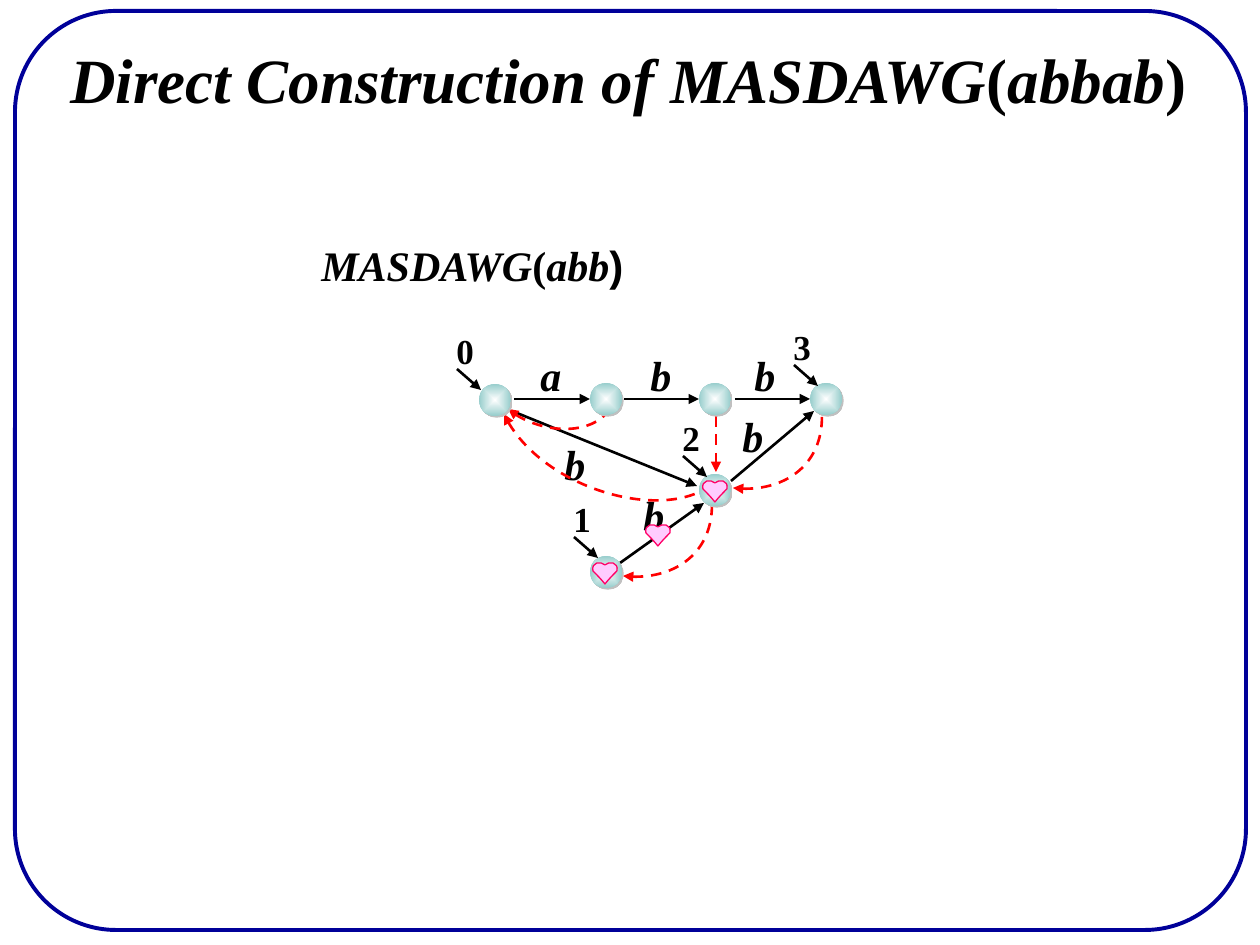
from lxml import etree
from pptx import Presentation
from pptx import util as u
from pptx.dml.color import RGBColor
from pptx.enum import dml, shapes, text
from pptx.oxml.ns import qn

BLACK = RGBColor(0x00, 0x00, 0x00)
WHITE = RGBColor(0xFF, 0xFF, 0xFF)
NAVY = RGBColor(0x00, 0x00, 0x99)
RED = RGBColor(0xFF, 0x00, 0x00)
TEAL = RGBColor(0x97, 0xCD, 0xCC)
PINK = RGBColor(0xFF, 0xCC, 0xFF)
ROSE = RGBColor(0xFF, 0x00, 0x66)
SERIF = "Times New Roman"

NODE_SIZE = 32
NODES = [(39, 64), (150, 63), (259, 63), (370, 63), (259, 154), (150, 236)]
ENTRIES = [("0", 4, 3), ("1", 121, 171), ("2", 230, 90), ("3", 341, -1)]
# Letter, its box corner, start and end of the edge
EDGES = [
    ("a", (88, 23), (74, 79), (150, 79)),
    ("b", (198, 23), (184, 79), (259, 79)),
    ("b", (302, 23), (295, 79), (370, 79)),
    ("b", (112, 112), (72, 91), (257, 166)),
    ("b", (191, 163), (180, 243), (264, 183)),
    ("b", (290, 84), (291, 161), (374, 91)),
]
# Bezier control points, arrowhead end first
SUFFIX_LINKS = [
    [(68, 89), (95, 112), (145, 115), (165, 95)],
    [(64, 94), (95, 160), (200, 195), (255, 174)],
    [(293, 168), (340, 174), (382, 145), (382, 97)],
    [(183, 256), (230, 262), (272, 233), (272, 185)],
]
HEART = [(12, 21), (8, 16), (4, 12), (0, 8), (-2, -1), (8, -2), (12, 2),
         (16, -2), (26, -1), (24, 8), (20, 12), (16, 16), (12, 21)]
HEARTS = [(153, 243), (206, 205), (263, 161)]


def px(length):
    return u.Emu(round(length * 914400 / 126))


def shift(points, left, top):
    return [(x + left, y + top) for x, y in points]


def add_text(page, left, top, width, height, size, spans):
    """Spans are (words, italic, font) triples."""
    box = page.shapes.add_textbox(px(left), px(top), px(width), px(height))
    frame = box.text_frame
    frame.word_wrap = False
    frame.auto_size = text.MSO_AUTO_SIZE.SHAPE_TO_FIT_TEXT
    para = frame.paragraphs[0]
    for words, italic, font in spans:
        span = para.add_run()
        span.text = words
        span.font.name = font
        span.font.size = u.Pt(size)
        span.font.bold = True
        span.font.italic = italic
        span.font.color.rgb = BLACK


def style_line(shape, color, dashed=False, arrow=None):
    line = shape.line
    line.color.rgb = color
    line.width = u.Pt(1.5)
    if dashed:
        line.dash_style = dml.MSO_LINE.DASH
    if arrow:
        etree.SubElement(line._get_or_add_ln(), qn(arrow), type="triangle")


def add_arrow(page, start, end, color=BLACK, dashed=False):
    arrow = page.shapes.add_connector(
        shapes.MSO_CONNECTOR.STRAIGHT, *map(px, start + end))
    style_line(arrow, color, dashed, "a:tailEnd")
    etree.SubElement(arrow._element.spPr, qn("a:effectLst"))


def add_curve(page, points, closed=False):
    """Freeform of cubic segments, three points to each after the first."""
    start, *rest = [(px(x), px(y)) for x, y in points]
    builder = page.shapes.build_freeform(*start)
    builder.add_line_segments(rest, close=closed)
    curve = builder.convert_to_shape()
    curve.shadow.inherit = False
    steps = curve._element.xpath(".//a:lnTo")
    for first, second, third in zip(steps[::3], steps[1::3], steps[2::3]):
        first.tag = qn("a:cubicBezTo")
        for step in (second, third):
            first.append(step[0])
            step.getparent().remove(step)
    return curve


def add_suffix_link(page, points):
    link = add_curve(page, points)
    link.fill.background()
    style_line(link, RED, True, "a:headEnd")


def add_heart(page, left, top):
    heart = add_curve(page, shift(HEART, left, top), closed=True)
    heart.fill.solid()
    heart.fill.fore_color.rgb = PINK
    heart.line.color.rgb = ROSE
    heart.line.width = u.Pt(0.75)


def add_node(page, left, top):
    node = page.shapes.add_shape(shapes.MSO_SHAPE.OVAL, px(left), px(top),
                                 px(NODE_SIZE), px(NODE_SIZE))
    node.line.fill.background()
    node.fill.gradient()
    for stop, color in zip(node.fill.gradient_stops, (WHITE, TEAL)):
        stop.color.rgb = color
    gradient = node._element.spPr.find(qn("a:gradFill"))
    gradient.remove(gradient.find(qn("a:lin")))
    radial = etree.SubElement(gradient, qn("a:path"), path="rect")
    etree.SubElement(radial, qn("a:fillToRect"),
                     l="50000", t="50000", r="50000", b="50000")
    node.shadow.inherit = False
    effects = node._element.spPr.find(qn("a:effectLst"))
    shadow = etree.SubElement(effects, qn("a:outerShdw"),
                              dist=str(u.Pt(1.4)), dir="2700000")
    etree.SubElement(shadow, qn("a:srgbClr"), val="C0C0C0")


def add_entry(page, digit, left, top):
    """Numbered arrow that points into a node."""
    add_arrow(page, (left + 13, top + 46), (left + 37, top + 67))
    add_text(page, left, top, 43, 55, 20, [(digit, False, SERIF)])


def add_automaton(page, left, top):
    for letter, corner, start, end in EDGES:
        corner, start, end = shift([corner, start, end], left, top)
        add_arrow(page, start, end)
        add_text(page, *corner, 45, 63, 24, [(letter, True, SERIF)])
    for points in SUFFIX_LINKS:
        add_suffix_link(page, shift(points, left, top))
    add_arrow(page, *shift([(276, 96), (276, 152)], left, top), RED, True)
    for x, y in shift(NODES, left, top):
        add_node(page, x, y)
    for digit, x, y in ENTRIES:
        add_entry(page, digit, left + x, top + y)
    for x, y in shift(HEARTS, left, top):
        add_heart(page, x, y)


def add_frame(page, left, top, width, height):
    frame = page.shapes.add_shape(shapes.MSO_SHAPE.ROUNDED_RECTANGLE, px(left),
                                  px(top), px(width), px(height))
    frame.adjustments[0] = 0.11
    frame.shadow.inherit = False
    frame.fill.background()
    frame.line.color.rgb = NAVY
    frame.line.width = u.Pt(2.25)


def main():
    deck = Presentation()
    deck.slide_width, deck.slide_height = px(1260), px(945)
    page = deck.slides.add_slide(deck.slide_layouts[6])
    add_frame(page, 15, 11, 1231, 919)
    add_text(page, 58, 34, 1147, 88, 36, [
        ("Direct Construction of MASDAWG", True, SERIF), ("(", False, SERIF),
        ("abbab", True, SERIF), (")", False, SERIF)])
    add_text(page, 309, 233, 333, 63, 24, [
        ("MASDAWG", True, SERIF), ("(", False, SERIF),
        ("abb", True, SERIF), (")", False, "Arial")])
    add_automaton(page, 440, 320)
    deck.save("out.pptx")


if __name__ == "__main__":
    main()
